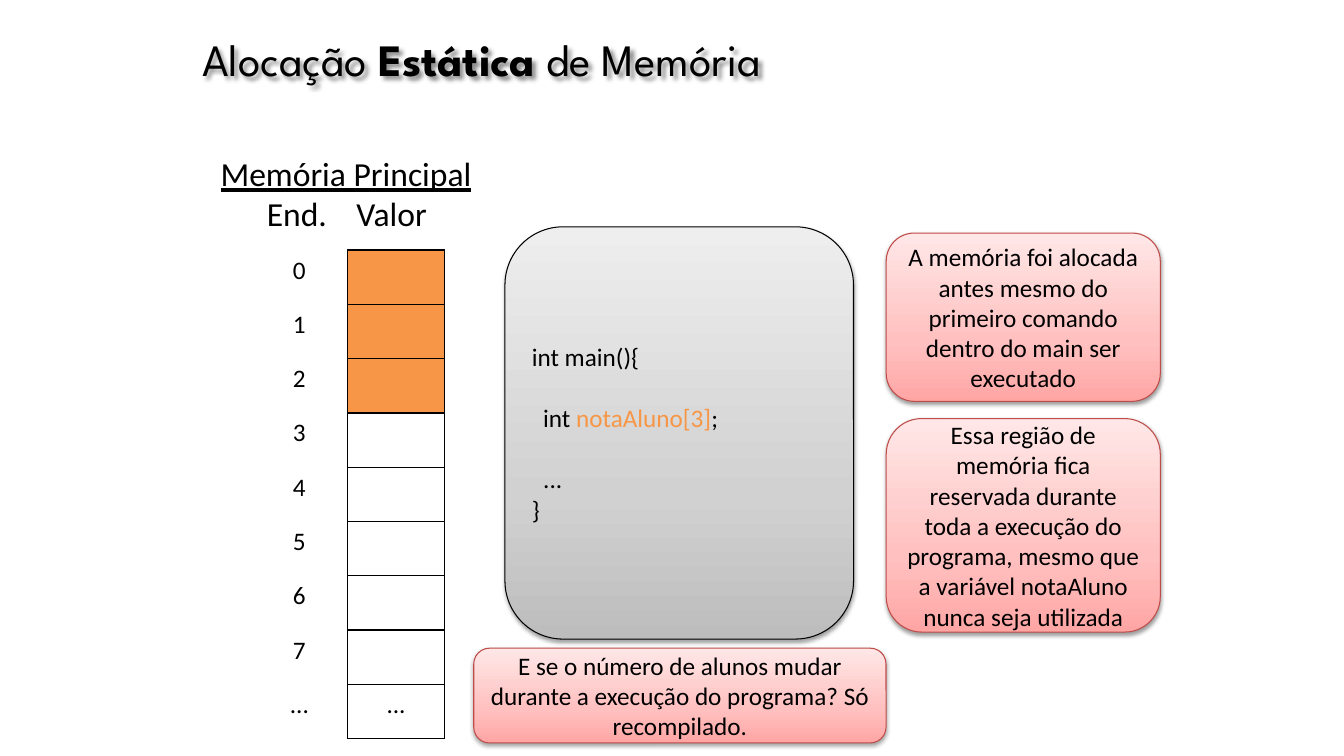
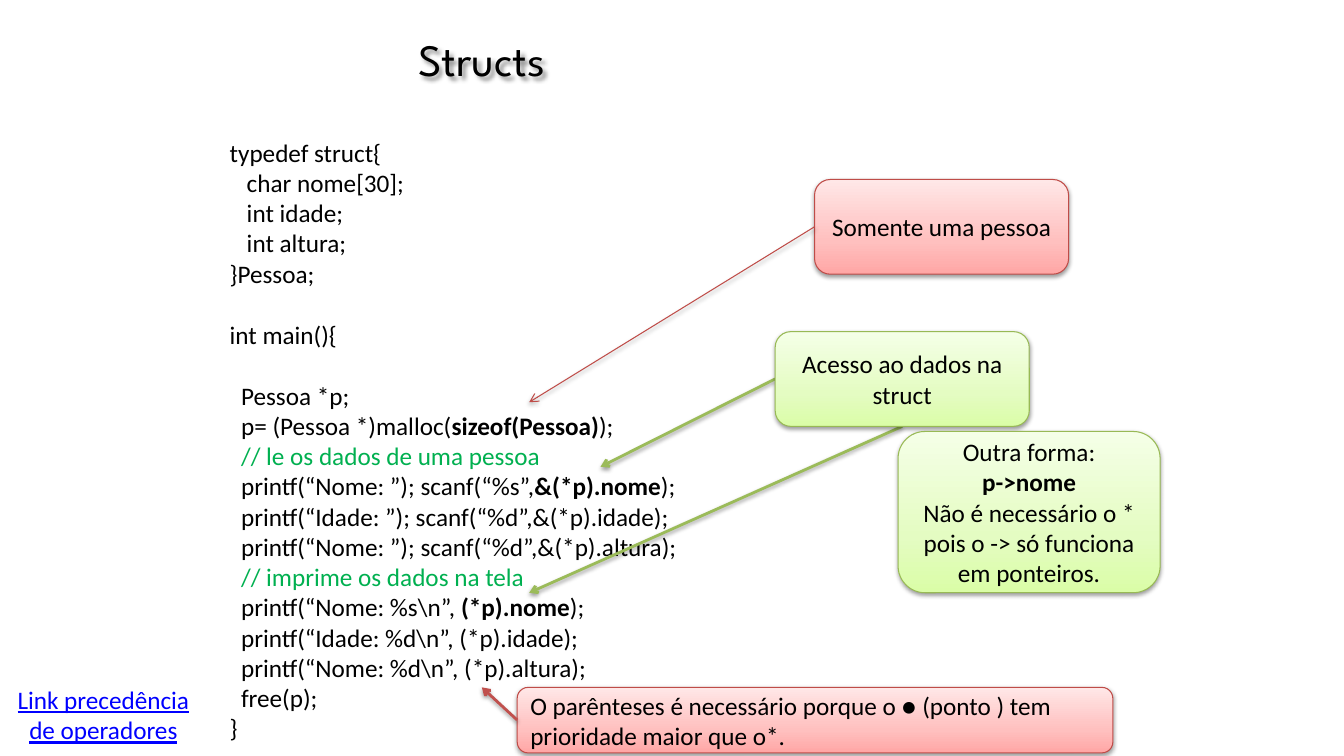
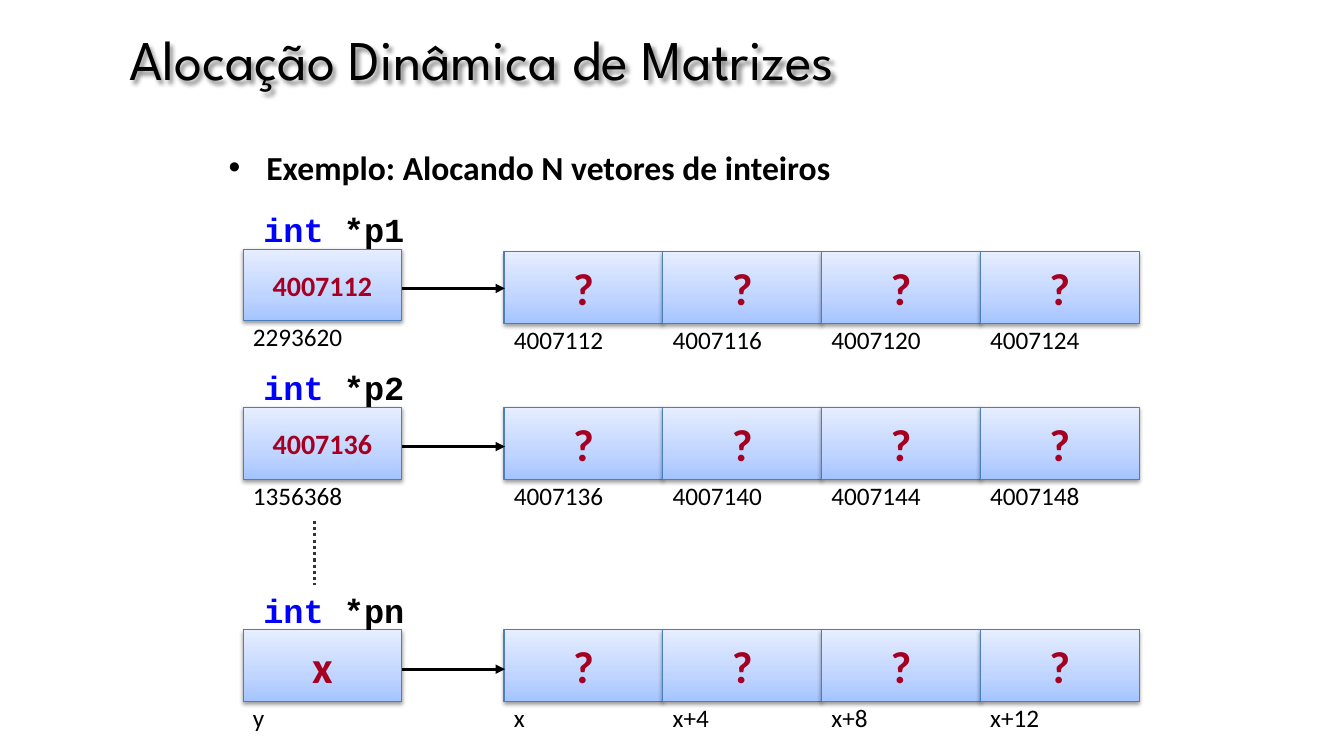
from lxml import etree
from pptx import Presentation
from pptx.dml.color import RGBColor
from pptx.enum.dml import MSO_LINE
from pptx.enum.shapes import MSO_CONNECTOR, MSO_SHAPE
from pptx.enum.text import MSO_ANCHOR, PP_ALIGN
from pptx.oxml.ns import qn
from pptx.util import Pt

ROUND, RECT = MSO_SHAPE.ROUNDED_RECTANGLE, MSO_SHAPE.RECTANGLE
STRAIGHT, DOTS = MSO_CONNECTOR.STRAIGHT, MSO_LINE.ROUND_DOT
LEFT, MID = PP_ALIGN.LEFT, PP_ALIGN.CENTER
TOP, CENTER = MSO_ANCHOR.TOP, MSO_ANCHOR.MIDDLE

BLACK = RGBColor(0x00, 0x00, 0x00)
DARK = RGBColor(0x33, 0x33, 0x33)
ORANGE = RGBColor(0xF7, 0x96, 0x46)
GREEN = RGBColor(0x00, 0xB0, 0x50)
BLUE = RGBColor(0x00, 0x00, 0xFF)
WINE = RGBColor(0xA5, 0x00, 0x21)
ROSE = RGBColor(0xBF, 0x4C, 0x48)
BRICK = RGBColor(0xC0, 0x50, 0x4D)
LIME = RGBColor(0x9B, 0xBB, 0x59)
LEAF = RGBColor(0x98, 0xB9, 0x55)
STEEL = RGBColor(0x4B, 0x7E, 0xBC)

# Outline, then gradient colours from bottom to top
GRAY_BOX = (BLACK, "BDBDBD", "D1D1D1", "EEEEEE")
PINK_BOX = (ROSE, "FFA6A5", "FFC0BF", "FFE7E7")
LIME_BOX = (LEAF, "DAFDA7", "E4FCC2", "F5FFE7")
BLUE_BOX = (STEEL, "A4C4FF", "BFD4FF", "E6EEFF")

BODY = {"name": "Calibri", "size": Pt(18), "color": BLACK, "bold": False}
HEAD = BODY | {"size": Pt(24)}
TITLE = BODY | {"name": "League Spartan", "size": Pt(32)}
CODE = HEAD | {"name": "Courier New", "bold": True}
VALUE = BODY | {"size": Pt(32), "color": WINE, "bold": True}
BOLD, NOTE = {"bold": True}, {"color": GREEN}
LINE_GAP = Pt(22)

# Blur, distance, direction in degrees, opacity in percent
SOFT = (3.1, 1.6, 90, 38)
CAST = (3, 3, 45, 43)


def node(parent, tag, **attrs):
    return etree.SubElement(parent, qn("a:" + tag),
                            {key: str(val) for key, val in attrs.items()})


def shade(effects, look):
    """Add an outer shadow to an effect list."""
    blur, dist, angle, alpha = look
    outer = node(effects, "outerShdw", blurRad=int(Pt(blur)),
                 dist=int(Pt(dist)), dir=angle * 60000, algn="t",
                 rotWithShape=0)
    node(node(outer, "srgbClr", val="000000"), "alpha", val=alpha * 1000)


def set_shadow(shape, look):
    shape.shadow.inherit = False
    shade(shape._element.spPr.find(qn("a:effectLst")), look)


def set_fade(shape, colors):
    shape.fill.background()
    props = shape._element.spPr
    fade = etree.Element(qn("a:gradFill"), rotWithShape="1")
    stops = node(fade, "gsLst")
    for pos, color in zip((0, 35, 100), colors):
        node(node(stops, "gs", pos=pos * 1000), "srgbClr", val=color)
    node(fade, "lin", ang=270 * 60000, scaled=0)
    props.replace(props.find(qn("a:noFill")), fade)


def add_run(para, text, fmt):
    run = para.add_run()
    run.text = text
    for key, val in fmt.items():
        if key == "color":
            run.font.color.rgb = val
        else:
            setattr(run.font, key, val)


def write(frame, paras, fmt, align=LEFT, anchor=TOP):
    """Fill a frame; a paragraph is a string or a list of strings and
    (string, format) pairs, and an empty one leaves a line of space."""
    frame.word_wrap = True
    frame.vertical_anchor = anchor
    para, gap = None, False
    for item in paras:
        if not item:
            gap = True
            continue
        para = frame.add_paragraph() if para else frame.paragraphs[0]
        para.alignment = align
        if gap:
            para.space_before = LINE_GAP
            gap = False
        for part in [item] if isinstance(item, str) else item:
            text, extra = (part, {}) if isinstance(part, str) else part
            add_run(para, text, fmt | extra)


def add_text(slide, at, paras, fmt=BODY, align=LEFT, anchor=TOP):
    box = slide.shapes.add_textbox(*map(Pt, at))
    write(box.text_frame, paras, fmt, align, anchor)
    return box


def add_title(slide, parts, size=32):
    box = add_text(slide, (0, 11.5, 688.3, 60.5), [parts],
                   TITLE | {"size": Pt(size)}, MID, CENTER)
    set_shadow(box, CAST)


def add_box(slide, at, look, paras, fmt=BODY, align=MID, kind=ROUND):
    edge, *colors = look
    box = slide.shapes.add_shape(kind, *map(Pt, at))
    set_fade(box, colors)
    box.line.color.rgb = edge
    box.line.width = Pt(0.75)
    set_shadow(box, SOFT)
    write(box.text_frame, paras, fmt, align, CENTER)


def add_line(slide, ends, color, width, head=None, look=None, dash=None):
    line = slide.shapes.add_connector(STRAIGHT, *map(Pt, ends))
    line.line.color.rgb = color
    line.line.width = Pt(width)
    if dash:
        line.line.dash_style = dash
    props = line._element.spPr
    if head:
        node(props.find(qn("a:ln")), "tailEnd", type=head)
    effects = node(props, "effectLst")
    if look:
        shade(effects, look)


def add_edges(cell, sides):
    props = cell._tc.get_or_add_tcPr()
    for side in sides:
        edge = node(props, "ln" + side, w=int(Pt(1)))
        node(node(edge, "solidFill"), "srgbClr", val=BLACK)


def add_memory(slide, left, top, labels, used):
    """Draw the memory table, with the first used values coloured."""
    wide, high = Pt(69.1), Pt(38.8)
    grid = slide.shapes.add_table(len(labels), 2, Pt(left), Pt(top),
                                  wide * 2, high * len(labels)).table
    grid.first_row = grid.horz_banding = False
    for col in grid.columns:
        col.width = wide
    for num, label in enumerate(labels):
        grid.rows[num].height = high
        name, value = grid.cell(num, 0), grid.cell(num, 1)
        add_edges(name, "R")
        add_edges(value, "LRTB")
        name.fill.background()
        if num < used:
            value.fill.solid()
            value.fill.fore_color.rgb = ORANGE
        else:
            value.fill.background()
        write(name.text_frame, [label], BODY, MID)
        if label == "...":
            write(value.text_frame, [label], BODY, MID)


def add_vector(slide, top, name, value, size, place, spots, drop=0):
    """Draw a pointer, its arrow and the cells that it leads to."""
    left, start, wide, high = 173.6, 360, 113.4, 51.3
    for num, spot in enumerate(spots):
        x = start + num * wide
        add_box(slide, (x, top + drop, wide, high), BLUE_BOX, ["?"],
                VALUE, kind=RECT)
        add_text(slide, (x, top + drop + 48.3, 80, 29), [spot])
    add_box(slide, (left, top, wide, high), BLUE_BOX, [value],
            VALUE | {"size": Pt(size)}, kind=RECT)
    add_text(slide, (left, top + 48.3, 80, 29), [place])
    add_text(slide, (181, top - 32.4, 130, 36),
             [[("int", {"color": BLUE}), " *" + name]], CODE)
    y = top + 28
    add_line(slide, (287, y, 360.7, y), BLACK, 2.25, "triangle")


def draw_static(slide):
    add_title(slide, ["Alocação ", ("Estática", BOLD), " de Memória"])
    add_box(slide, (360.7, 162, 249, 294.5), GRAY_BOX,
            ["int main(){", "",
             ["  int ", ("notaAluno[3]", {"color": ORANGE}), ";"], "",
             "  ...", "}"], align=LEFT)
    box = add_text(slide, (150.5, 105.8, 210, 65.5),
                   [[("Memória Principal", {"underline": True})],
                    "\tEnd.\tValor"], HEAD)
    tabs = node(box.text_frame.paragraphs[1]._p.get_or_add_pPr(), "tabLst")
    for pos in (33, 97):
        node(tabs, "tab", pos=int(Pt(pos)), algn="l")
    add_memory(slide, 179.3, 178.6, [*"01234567", "..."], 3)
    for at, text in (
            ((338.4, 463, 294.5, 67.7),
             "E se o número de alunos mudar durante a execução do "
             "programa? Só recompilado."),
            ((633, 166.5, 195.8, 120.2),
             "A memória foi alocada antes mesmo do primeiro comando "
             "dentro do main ser executado"),
            ((633, 299, 195.8, 152.5),
             "Essa região de memória fica reservada durante toda a "
             "execução do programa, mesmo que a variável notaAluno "
             "nunca seja utilizada")):
        add_box(slide, at, PINK_BOX, [text])


def draw_structs(slide):
    add_title(slide, ["Structs"])
    add_text(slide, (157, 94.3, 360, 443.5), [
        "typedef struct{",
        "   char nome[30];",
        "   int idade;",
        "   int altura;",
        "}Pessoa;",
        "",
        "int main(){",
        "",
        "  Pessoa *p;",
        ["  p= (Pessoa *)malloc(", ("sizeof(Pessoa)", BOLD), ");"],
        [("  // le os dados de uma pessoa", NOTE)],
        ["  printf(“Nome: ”); scanf(“%s”,", ("&(*p).nome", BOLD), ");"],
        "  printf(“Idade: ”); scanf(“%d”,&(*p).idade);",
        "  printf(“Nome: ”); scanf(“%d”,&(*p).altura);",
        [("  // imprime os dados na tela", NOTE)],
        [r"  printf(“Nome: %s\n”, ", ("(*p).nome", BOLD), ");"],
        r"  printf(“Idade: %d\n”, (*p).idade);",
        r"  printf(“Nome: %d\n”, (*p).altura);",
        "  free(p);",
        "}"])
    add_box(slide, (581.8, 128.2, 181.5, 67.7), PINK_BOX,
            ["Somente uma pessoa"])
    for ends, color, width in (
            ((581.8, 162, 378, 287.3), ROSE, 0.75),
            ((553.7, 270.7, 429, 333.4), LIME, 2),
            ((644.4, 304.6, 378, 423.4), LIME, 2)):
        add_line(slide, ends, color, width, "arrow", SOFT)
    add_box(slide, (553.7, 236.9, 181.5, 67.7), LIME_BOX,
            ["Acesso ao dados na struct"])
    add_box(slide, (641.5, 308.2, 187.2, 115.2), LIME_BOX,
            ["Outra forma:", [("p->nome", BOLD)],
             "Não é necessário o * pois o -> só funciona em ponteiros."])
    add_box(slide, (369.4, 491, 425.5, 46.8), PINK_BOX,
            ["O parênteses é necessário porque o ● (ponto ) tem "
             "prioridade maior que o*."], align=LEFT)
    add_line(slide, (369.4, 514.3, 344.2, 491), BRICK, 2, "arrow", SOFT)
    add_text(slide, (2.2, 485.3, 143.3, 51), ["Link precedência de operadores"],
             BODY | {"color": BLUE, "underline": True}, MID)


def draw_matrix(slide):
    add_title(slide, ["Alocação Dinâmica de Matrizes"], 40)
    box = add_text(slide, (156.2, 101.5, 648, 40),
                   ["Exemplo: Alocando N vetores de inteiros"], HEAD | BOLD)
    props = box.text_frame.paragraphs[0]._p.get_or_add_pPr()
    props.set("marL", str(int(Pt(27))))
    props.set("indent", str(int(Pt(-27))))
    node(props, "buFont", typeface="Arial")
    node(props, "buChar", char="•")
    add_vector(slide, 178, "p1", "4007112", 20, "2293620",
               [str(4007112 + 4 * num) for num in range(4)], 2)
    add_vector(slide, 291, "p2", "4007136", 20, "1356368",
               [str(4007136 + 4 * num) for num in range(4)])
    add_vector(slide, 450, "pn", "x", 32, "y", ["x", "x+4", "x+8", "x+12"])
    add_line(slide, (224.9, 372, 224.9, 417.6), DARK, 2.25, dash=DOTS)


def main():
    deck = Presentation()
    deck.slide_width, deck.slide_height = Pt(960), Pt(540)
    for draw in (draw_static, draw_structs, draw_matrix):
        draw(deck.slides.add_slide(deck.slide_layouts[6]))
    deck.save("out.pptx")


if __name__ == "__main__":
    main()
